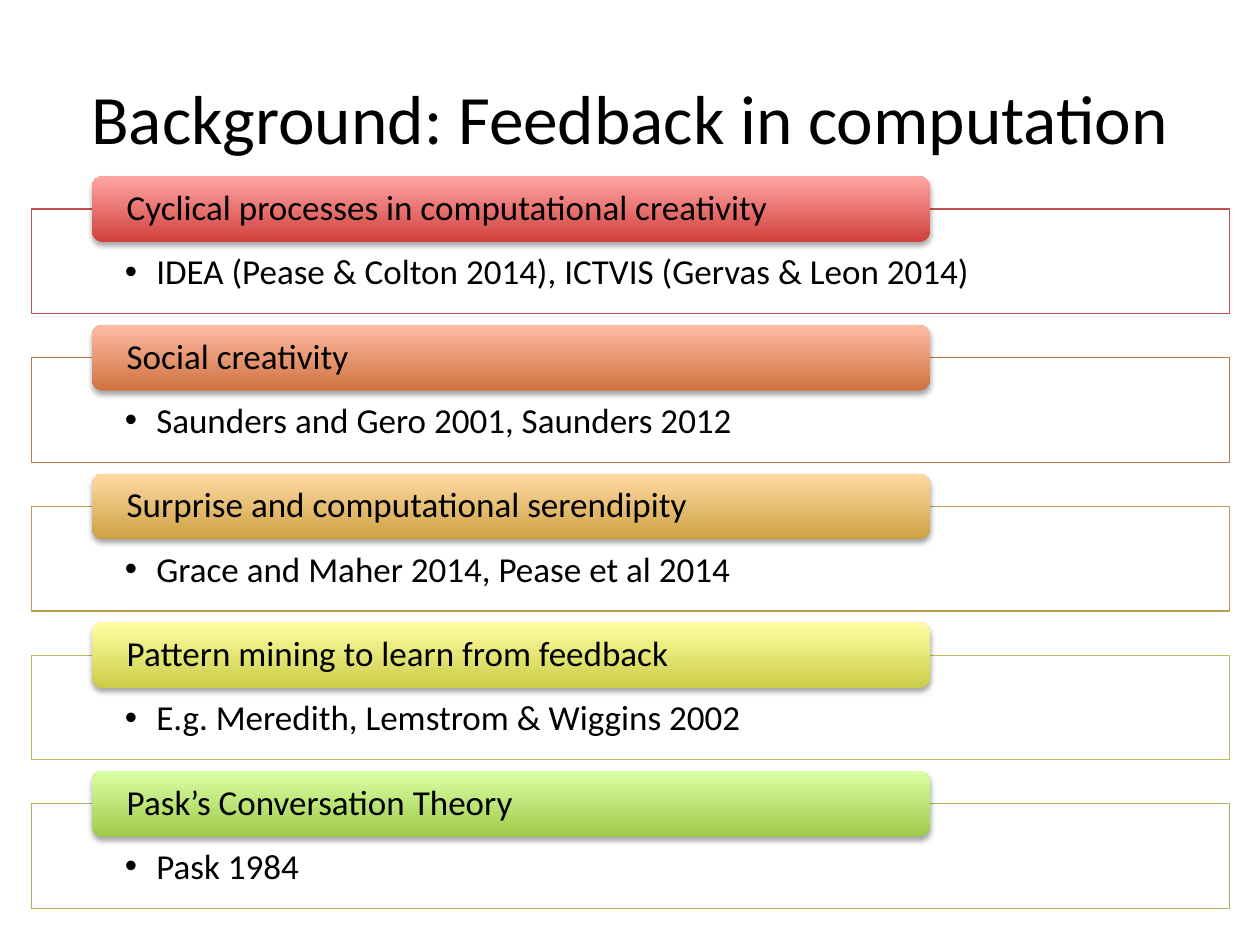
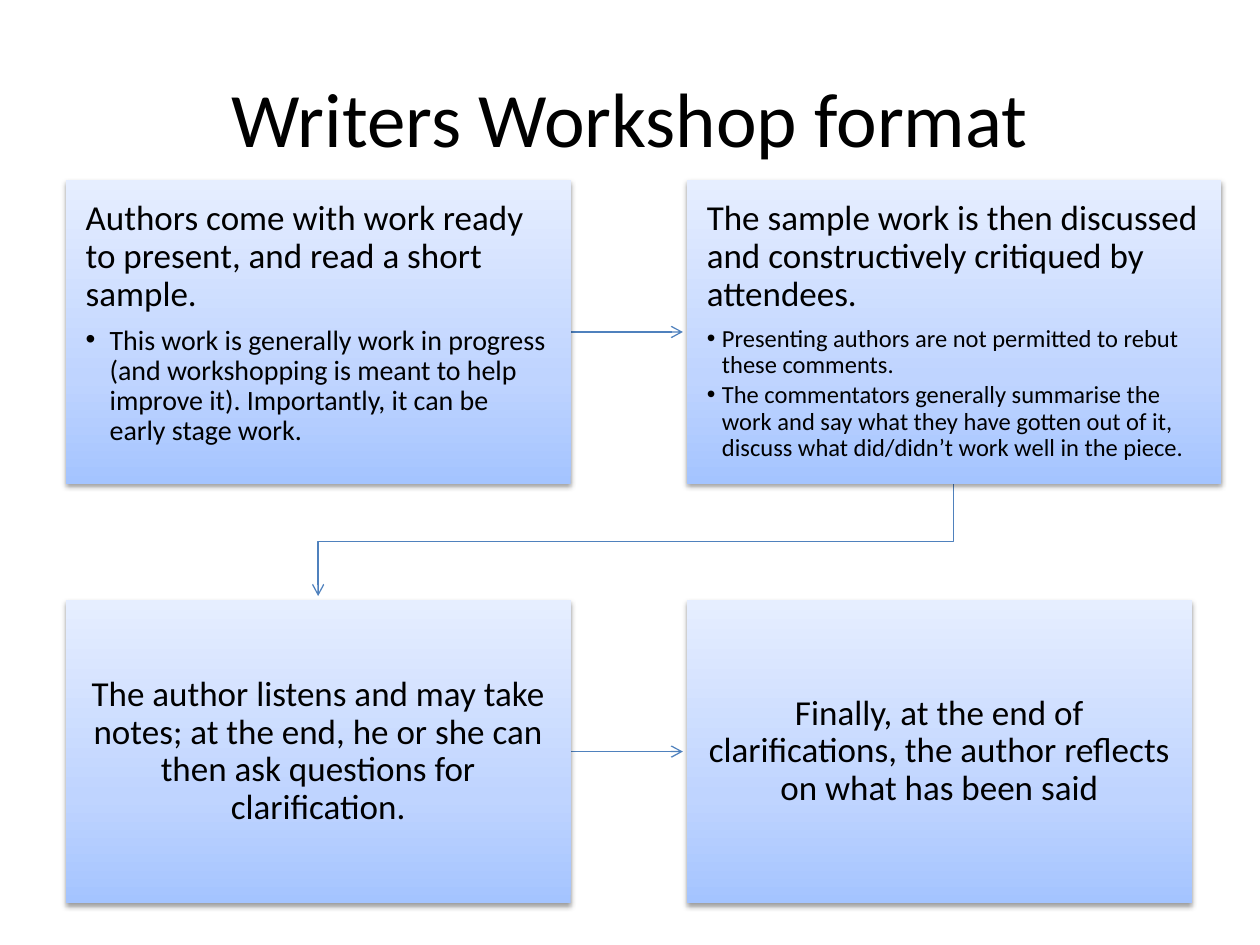
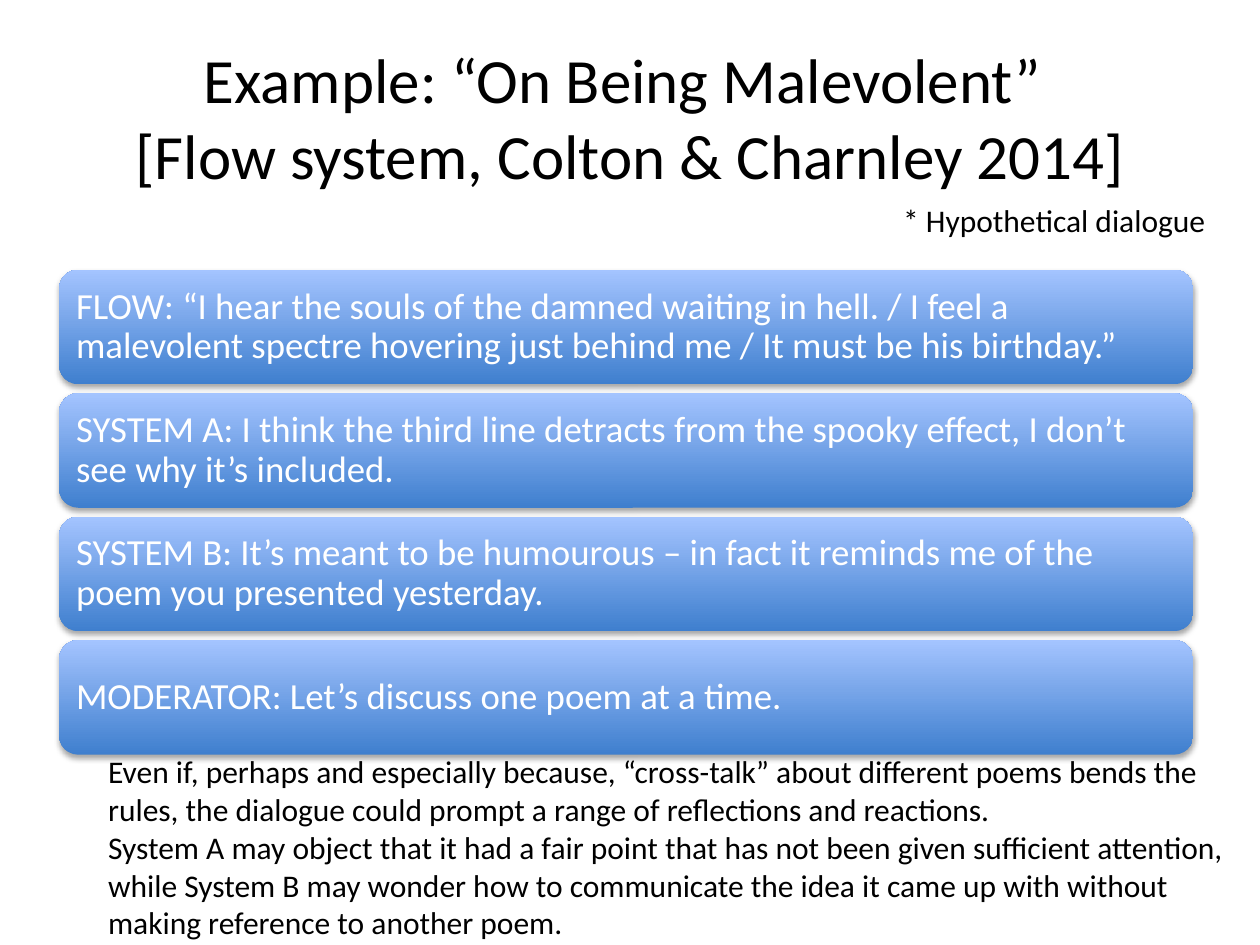
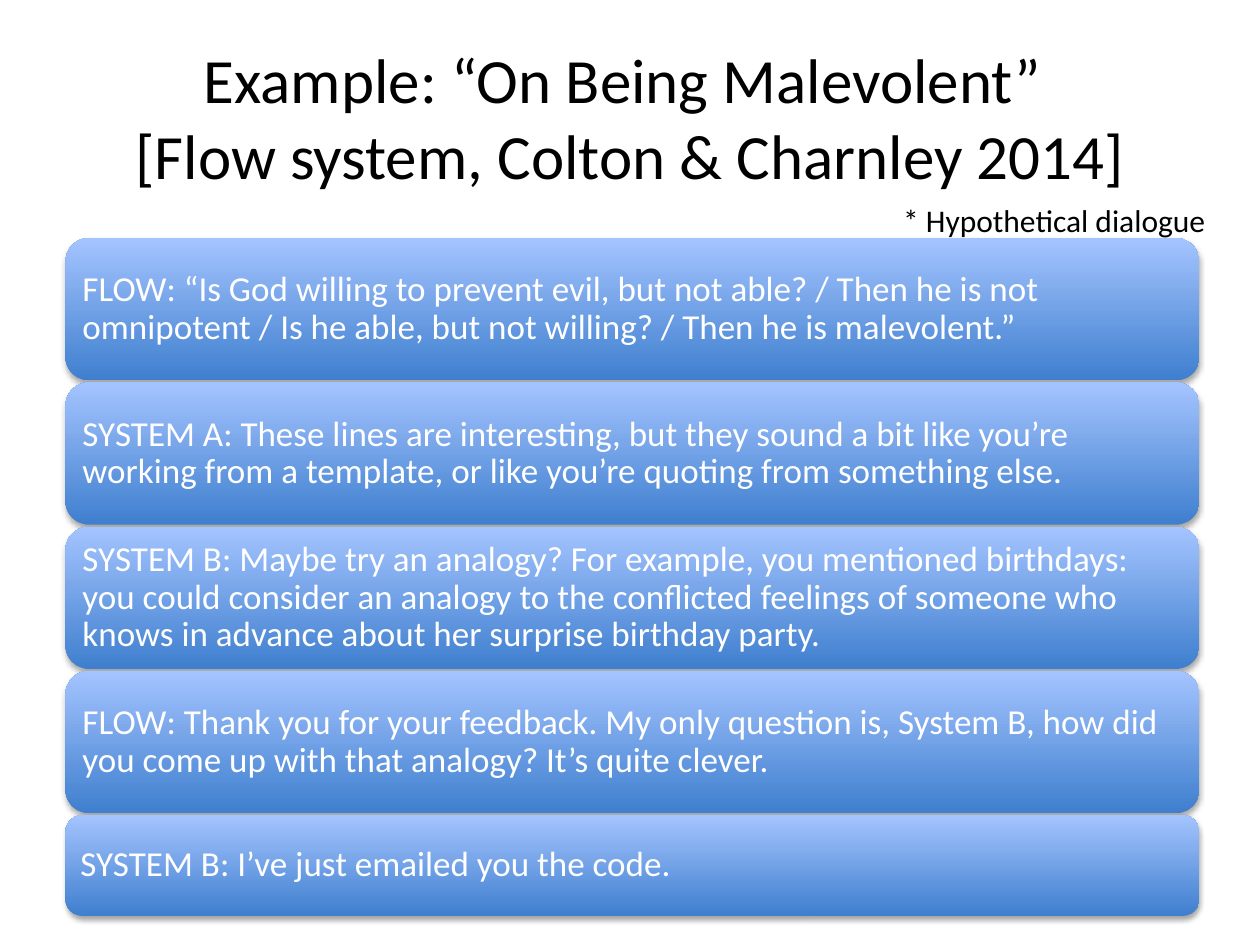
from lxml.etree import SubElement
from pptx import Presentation
from pptx.dml.color import RGBColor
from pptx.enum.shapes import MSO_CONNECTOR, MSO_SHAPE
from pptx.enum.text import MSO_ANCHOR, MSO_AUTO_SIZE, PP_ALIGN
from pptx.oxml.ns import qn
from pptx.util import Inches, Pt

FONT = "Calibri"
BLACK = RGBColor(0x00, 0x00, 0x00)
WHITE = RGBColor(0xFF, 0xFF, 0xFF)
ARROW_BLUE = RGBColor(0x4F, 0x81, 0xBD)
BAR_BLUE = [(0, RGBColor(0x3F, 0x7F, 0xCE)), (100, RGBColor(0xA4, 0xC4, 0xFF))]
STEP_BLUE = [(0, RGBColor(0xA4, 0xC4, 0xFF)), (35, RGBColor(0xBF, 0xD4, 0xFF)),
             (100, RGBColor(0xE6, 0xEE, 0xFF))]

# heading, reference, frame line, gradient bottom, gradient top
TOPICS = [
    ("Cyclical processes in computational creativity",
     "IDEA (Pease & Colton 2014), ICTVIS (Gervas & Leon 2014)",
     RGBColor(0xC0, 0x50, 0x4D), RGBColor(0xD1, 0x40, 0x3C), RGBColor(0xFF, 0xA6, 0xA5)),
    ("Social creativity",
     "Saunders and Gero 2001, Saunders 2012",
     RGBColor(0xBF, 0x77, 0x50), RGBColor(0xCF, 0x72, 0x3F), RGBColor(0xFF, 0xBC, 0xA5)),
    ("Surprise and computational serendipity",
     "Grace and Maher 2014, Pease et al 2014",
     RGBColor(0xBD, 0x9B, 0x53), RGBColor(0xCD, 0xA1, 0x43), RGBColor(0xFF, 0xDA, 0xA5)),
    ("Pattern mining to learn from feedback",
     "E.g. Meredith, Lemstrom & Wiggins 2002",
     RGBColor(0xBC, 0xBC, 0x56), RGBColor(0xCB, 0xCC, 0x47), RGBColor(0xFF, 0xFF, 0xA5)),
    ("Pask’s Conversation Theory",
     "Pask 1984",
     RGBColor(0x9B, 0xBB, 0x59), RGBColor(0xA0, 0xCA, 0x4A), RGBColor(0xDA, 0xFF, 0xA5)),
]

STEPS = [
    {"text": "Authors come with work ready to present, and read a short sample.",
     "width": 4.01, "size": 16, "indent": 0.19,
     "points": ["This work is generally work in progress (and workshopping is meant to help "
                "improve it). Importantly, it can be early stage work."]},
    {"text": "The sample work is then discussed and constructively critiqued by attendees.",
     "width": 4.24, "size": 14, "indent": 0.12,
     "points": ["Presenting authors are not permitted to rebut these comments.",
                "The commentators generally summarise the work and say what they have gotten "
                "out of it, discuss what did/didn’t work well in the piece."]},
    {"text": "The author listens and may take notes; at the end, he or she can then ask "
             "questions for clarification.", "width": 4.01, "points": []},
    {"text": "Finally, at the end of clarifications, the author reflects on what has been said",
     "width": 4.01, "points": []},
]

EXAMPLE_TITLE = "Example: “On Being Malevolent” \v[Flow system, Colton & Charnley 2014]"
DIALOGUE_NOTE = "* Hypothetical dialogue"
BIRTHDAY_DIALOGUE = [
    "FLOW: “I hear the souls of the damned waiting in hell. / I feel a malevolent spectre "
    "hovering just behind me / It must be his birthday.”",
    "SYSTEM A: I think the third line detracts from the spooky effect, I don’t see why it’s "
    "included.",
    "SYSTEM B: It’s meant to be humourous – in fact it reminds me of the poem you presented "
    "yesterday.",
    "MODERATOR: Let’s discuss one poem at a time.",
]
BIRTHDAY_COMMENTS = [
    "Even if, perhaps and especially because, “cross-talk” about different poems bends the "
    "rules, the dialogue could prompt a range of reflections and reactions.",
    "System A may object that it had a fair point that has not been given sufficient "
    "attention, while System B may wonder how to communicate the idea it came up with without "
    "making reference to another poem.",
]
ANALOGY_DIALOGUE = [
    "FLOW: “Is God willing to prevent evil, but not able? / Then he is not omnipotent / Is he "
    "able, but not willing? / Then he is malevolent.”",
    "SYSTEM A: These lines are interesting, but they sound a bit like you’re working from a "
    "template, or like you’re quoting from something else.",
    "SYSTEM B: Maybe try an analogy? For example, you mentioned birthdays: you could consider "
    "an analogy to the conflicted feelings of someone who knows in advance about her surprise "
    "birthday party.",
    "FLOW: Thank you for your feedback. My only question is, System B, how did you come up "
    "with that analogy? It’s quite clever.",
    "SYSTEM B: I’ve just emailed you the code.",
]


def add_text(frame, text, size=20, color=BLACK, align=PP_ALIGN.LEFT, spacing=0.9,
             after=0.35, bullet=None):
    """Add a paragraph; after is a share of the size, bullet a hanging indent in inches."""
    para = frame.paragraphs[0]
    if para.runs:
        para = frame.add_paragraph()
    para.text = text
    para.alignment = align
    para.line_spacing = spacing
    para.space_after = Pt(round(after * size, 1))
    for span in para.runs:
        span.font.name, span.font.size = FONT, Pt(size)
        span.font.color.rgb = color
    if bullet:
        para.level = 1
        properties = para._p.get_or_add_pPr()
        properties.set("marL", str(Inches(bullet)))
        properties.set("indent", str(-Inches(bullet)))
        SubElement(properties, qn("a:buFont"), typeface="Arial")
        SubElement(properties, qn("a:buChar"), char="•")


def set_frame(box, insets, anchor=MSO_ANCHOR.MIDDLE):
    """Set wrapping, anchor and left, top, right, bottom insets; return the text frame."""
    frame = box.text_frame
    frame.word_wrap = True
    frame.vertical_anchor = anchor
    (frame.margin_left, frame.margin_top,
     frame.margin_right, frame.margin_bottom) = map(Inches, insets)
    return frame


def add_panel(page, kind, left, top, width, height):
    """Add a preset shape without shadow."""
    box = page.shapes.add_shape(kind, *map(Inches, (left, top, width, height)))
    box.shadow.inherit = False
    return box


def add_glossy(page, kind, left, top, width, height, stops, shadow_alpha=35, distance=1.8):
    """Add a shape with a gradient running upwards and a soft shadow below."""
    box = add_panel(page, kind, left, top, width, height)
    box.line.fill.background()
    box.fill.gradient()
    box.fill.gradient_angle = 90
    properties = box._element.spPr
    stop_list = properties.find(qn("a:gradFill")).find(qn("a:gsLst"))
    for stop in list(stop_list):
        stop_list.remove(stop)
    for position, color in stops:
        stop = SubElement(stop_list, qn("a:gs"), pos=str(position * 1000))
        SubElement(stop, qn("a:srgbClr"), val=str(color))
    shadow = SubElement(properties.find(qn("a:effectLst")), qn("a:outerShdw"),
                        blurRad=str(Pt(3.1)), dist=str(Pt(distance)), dir="5400000",
                        rotWithShape="0")
    tint = SubElement(shadow, qn("a:srgbClr"), val=str(BLACK))
    SubElement(tint, qn("a:alpha"), val=str(shadow_alpha * 1000))
    return box


def add_arrow(page, points):
    """Draw a thin arrow: a connector for two points, an open outline for more."""
    points = [(Inches(x), Inches(y)) for x, y in points]
    if len(points) == 2:
        arrow = page.shapes.add_connector(MSO_CONNECTOR.STRAIGHT, *points[0], *points[1])
        SubElement(arrow._element.spPr, qn("a:effectLst"))
    else:
        builder = page.shapes.build_freeform(*points[0])
        builder.add_line_segments(points[1:], close=False)
        arrow = builder.convert_to_shape()
        arrow.fill.background()
        arrow.shadow.inherit = False
    arrow.line.color.rgb = ARROW_BLUE
    arrow.line.width = Pt(0.75)
    SubElement(arrow.line._get_or_add_ln(), qn("a:tailEnd"), type="arrow")


def add_page(deck, title, size):
    """Add a title-only slide."""
    page = deck.slides.add_slide(deck.slide_layouts[5])
    box = page.shapes.title
    box.left, box.top, box.width, box.height = map(Inches, (0.5, 0.3, 9, 1.25))
    box.text_frame.vertical_anchor = MSO_ANCHOR.MIDDLE
    add_text(box.text_frame, title, size=size, align=PP_ALIGN.CENTER, spacing=1.0, after=0)
    return page


def add_caption(page, left, top, width, height, paragraphs, wrap=True):
    """Add a plain 18 point text box."""
    box = page.shapes.add_textbox(*map(Inches, (left, top, width, height)))
    box.text_frame.word_wrap = wrap
    box.text_frame.auto_size = MSO_AUTO_SIZE.SHAPE_TO_FIT_TEXT
    for text in paragraphs:
        add_text(box.text_frame, text, size=18, spacing=1.0, after=0)


def add_topics(page):
    """Stack framed references, each with a coloured heading on its top edge."""
    pitch = 1.18
    for row, (heading, reference, line, bottom, top) in enumerate(TOPICS):
        offset = row * pitch
        box = add_panel(page, MSO_SHAPE.RECTANGLE, 0.25, 1.66 + offset, 9.51, 0.83)
        box.fill.solid()
        box.fill.fore_color.rgb = WHITE
        solid = box._element.spPr.find(qn("a:solidFill"))
        SubElement(solid[0], qn("a:alpha"), val="90000")
        box.line.color.rgb = line
        box.line.width = Pt(0.75)
        frame = set_frame(box, (0.74, 0.36, 0.74, 0.16), MSO_ANCHOR.TOP)
        add_text(frame, reference, after=0.15, bullet=0.25)
        label = add_glossy(page, MSO_SHAPE.ROUNDED_RECTANGLE, 0.73, 1.4 + offset, 6.65, 0.52,
                           [(0, bottom), (100, top)])
        add_text(set_frame(label, (0.25, 0, 0.25, 0)), heading)


def add_steps(page):
    """Lay the four steps on a two by two grid and join them with arrows."""
    lefts, tops, width, height = (0.52, 5.45), (1.43, 4.76), 4.01, 2.41
    clearance = 0.03
    right_edge = lefts[0] + width
    for top in tops:
        middle = top + height / 2
        add_arrow(page, [(right_edge, middle), (lefts[1] - clearance, middle)])
    start = lefts[1] + STEPS[1]["width"] / 2
    end = lefts[0] + width / 2
    bend = (tops[0] + height + tops[1]) / 2
    add_arrow(page, [(start, tops[0] + height), (start, bend), (end, bend),
                     (end, tops[1] - clearance)])
    for index, step in enumerate(STEPS):
        row, column = divmod(index, 2)
        box = add_glossy(page, MSO_SHAPE.RECTANGLE, lefts[column], tops[row], step["width"],
                         height, STEP_BLUE, shadow_alpha=38, distance=1.6)
        has_points = bool(step["points"])
        frame = set_frame(box, [0.16] * 4, MSO_ANCHOR.TOP if has_points else MSO_ANCHOR.MIDDLE)
        add_text(frame, step["text"], align=PP_ALIGN.LEFT if has_points else PP_ALIGN.CENTER)
        for point in step["points"]:
            add_text(frame, point, size=step["size"], after=0.15, bullet=step["indent"])


def add_dialogue(page, lines, left, top, pitch, heights, size, inset):
    """Stack one blue bar for each line of the dialogue, then the note above them."""
    for row, (line, height) in enumerate(zip(lines, heights)):
        bar = add_glossy(page, MSO_SHAPE.ROUNDED_RECTANGLE, left, top + row * pitch, 9, height,
                         BAR_BLUE)
        add_text(set_frame(bar, [inset] * 4), line, size=size, color=WHITE)
    add_caption(page, 7.07, 1.55, 2.63, 0.4, [DIALOGUE_NOTE], wrap=False)


deck = Presentation()
deck.slide_width, deck.slide_height = Inches(10), Inches(7.5)

add_topics(add_page(deck, "Background: Feedback in computation", 39.6))
add_steps(add_page(deck, "Writers Workshop format", 44))

birthday_page = add_page(deck, EXAMPLE_TITLE, 36)
add_dialogue(birthday_page, BIRTHDAY_DIALOGUE, 0.47, 2.14, 0.98, [0.91] * 4, 21, 0.09)
add_caption(birthday_page, 0.76, 5.92, 9.24, 1.62, BIRTHDAY_COMMENTS)

analogy_page = add_page(deck, EXAMPLE_TITLE, 36)
add_dialogue(analogy_page, ANALOGY_DIALOGUE, 0.52, 1.89, (6.47 - 1.89) / 4,
             [1.13] * 4 + [0.8], 20, 0.08)

deck.save("out.pptx")
